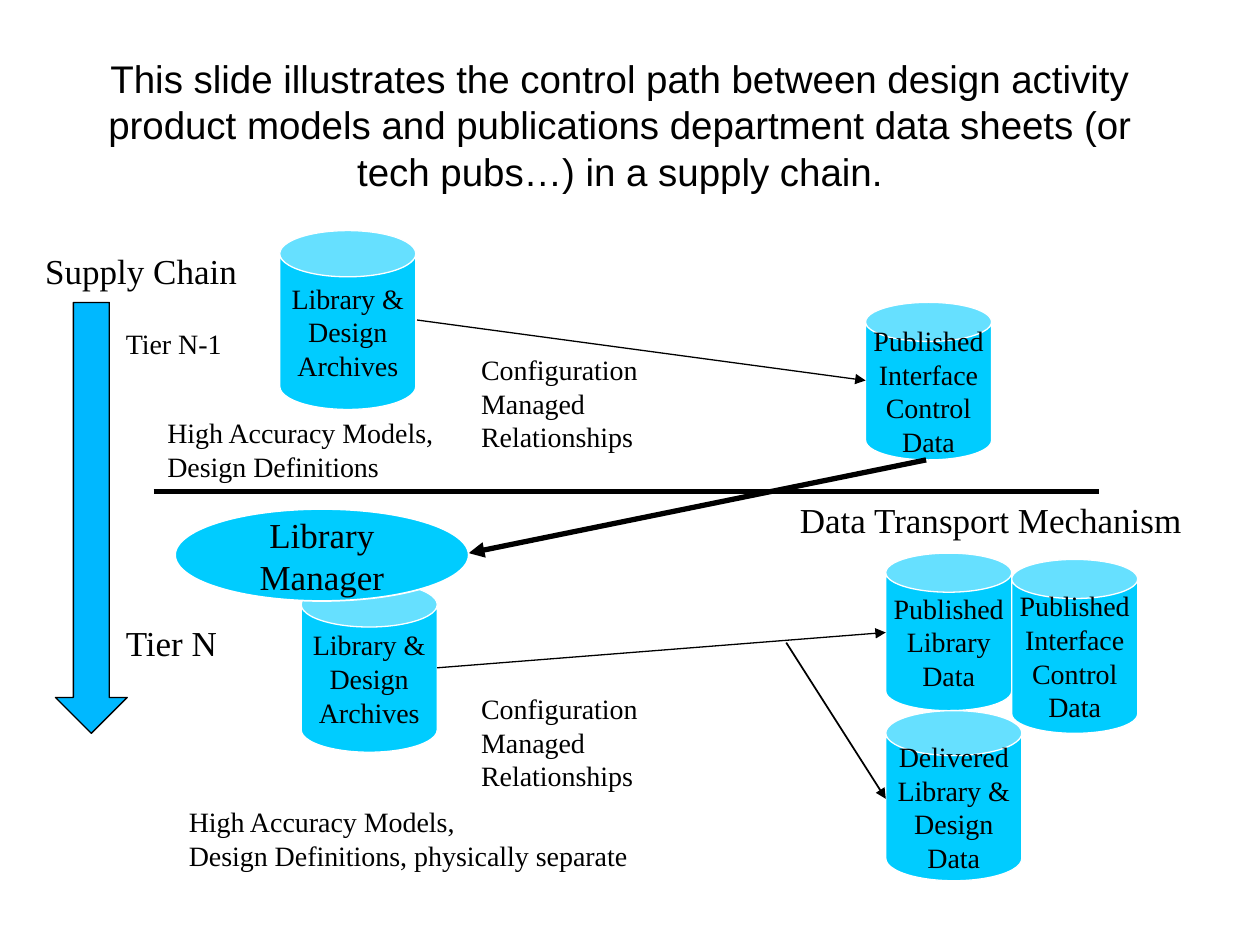
from lxml.etree import SubElement
from pptx import Presentation
from pptx.dml.color import RGBColor
from pptx.enum.shapes import MSO_CONNECTOR, MSO_SHAPE
from pptx.enum.text import MSO_ANCHOR, PP_ALIGN
from pptx.oxml.ns import qn
from pptx.util import Inches, Pt

BLACK = RGBColor(0x00, 0x00, 0x00)
WHITE = RGBColor(0xFF, 0xFF, 0xFF)
CYAN = RGBColor(0x00, 0xCC, 0xFF)
BLUE = RGBColor(0x00, 0xB8, 0xFF)

SERIF = "Times New Roman"
SMALL, LARGE = 16, 20
CELL = Inches(0.1)  # the slide is a grid of 100 columns by 75 rows

ARCHIVES = "Library &\nDesign\nArchives"
INTERFACE_DATA = "Published\nInterface\nControl\nData"
RELATIONSHIPS = "Configuration\nManaged\nRelationships"


def grid(*cells):
    """Turn columns and rows into slide lengths."""
    return [round(c * CELL) for c in cells]


def write(tf, text, size, align, font=SERIF):
    """Fill a text frame, one paragraph for each line of text."""
    for i, line in enumerate(text.split("\n")):
        p = tf.add_paragraph() if i else tf.paragraphs[0]
        p.text = line
        p.alignment = align
        p.font.name = font
        p.font.size = Pt(size)
        p.font.color.rgb = BLACK


def add_label(s, box, text, size=SMALL, align=PP_ALIGN.LEFT, font=SERIF):
    tf = s.shapes.add_textbox(*grid(*box)).text_frame
    tf.word_wrap = True
    write(tf, text, size, align, font)


def add_shape(s, kind, box, fill, line, width=0.75):
    sp = s.shapes.add_shape(kind, *grid(*box))
    sp.shadow.inherit = False
    sp.fill.solid()
    sp.fill.fore_color.rgb = fill
    sp.line.color.rgb = line
    sp.line.width = Pt(width)
    return sp


def write_inside(sp, text, size):
    tf = sp.text_frame
    tf.word_wrap = False
    tf.vertical_anchor = MSO_ANCHOR.MIDDLE
    write(tf, text, size, PP_ALIGN.CENTER)


def add_store(s, box, lid, text):
    """Add a data store: a can whose lid depth is a share of its width."""
    sp = add_shape(s, MSO_SHAPE.CAN, box, CYAN, WHITE)
    sp.adjustments[0] = lid
    write_inside(sp, text, SMALL)


def add_line(s, start, end, width=0.75, arrow=True):
    cn = s.shapes.add_connector(MSO_CONNECTOR.STRAIGHT, *grid(*start, *end))
    cn.line.color.rgb = BLACK
    cn.line.width = Pt(width)
    if arrow:
        SubElement(cn.line._get_or_add_ln(), qn("a:tailEnd"), type="triangle")
    SubElement(cn._element.spPr, qn("a:effectLst"))


def add_upper_tier(s):
    add_store(s, (22.2, 18.3, 10.8, 14.2), 0.34, ARCHIVES)
    add_store(s, (68.7, 24, 10, 12.5), 0.31, INTERFACE_DATA)
    add_line(s, (33.1, 25.4), (68.7, 30.2))
    add_label(s, (37.2, 27.5, 14.6, 9.1), RELATIONSHIPS)
    add_label(s, (12.3, 32.5, 23.4, 6.4),
              "High Accuracy Models,\nDesign Definitions")


def add_lower_tier(s):
    add_store(s, (23.9, 46.2, 10.8, 13.5), 0.33, ARCHIVES)
    add_store(s, (70.3, 43.9, 10, 12.5), 0.31, "Published\nLibrary\nData")
    add_store(s, (70.3, 56.4, 10.8, 13.5), 0.33,
              "Delivered\nLibrary &\nDesign\nData")
    add_store(s, (80.3, 44.4, 10, 13.8), 0.31, INTERFACE_DATA)
    add_line(s, (34.7, 53), (70.3, 50.2))
    add_line(s, (62.4, 51), (70.3, 63.4), 1)
    add_label(s, (37.2, 54.4, 14.6, 9.1), RELATIONSHIPS)
    add_label(s, (14, 63.4, 37.3, 6.4),
              "High Accuracy Models,\nDesign Definitions, physically separate")


def add_transport(s):
    """Add the tier boundary and the transfer that crosses it."""
    add_line(s, (12.2, 39), (87.2, 39), 3, arrow=False)
    add_line(s, (73.5, 36.5), (37.2, 43.9), 3)
    manager = add_shape(s, MSO_SHAPE.OVAL, (13.9, 40.4, 23.3, 7.3),
                        CYAN, WHITE, 1)
    write_inside(manager, "Library\nManager", LARGE)
    add_label(s, (62.5, 39.1, 32.4, 4.4), "Data Transport Mechanism", LARGE)


def add_supply_chain(s):
    add_shape(s, MSO_SHAPE.DOWN_ARROW, (4.4, 24, 5.7, 34.2), BLUE, BLACK)
    add_label(s, (2.6, 19.3, 18.9, 4.4), "Supply Chain", LARGE)
    add_label(s, (9, 25.4, 11.5, 3.7), "Tier N-1")
    add_label(s, (9, 48.8, 11.3, 4.4), "Tier N", LARGE)


def main():
    prs = Presentation()
    prs.slide_width, prs.slide_height = grid(100, 75)
    s = prs.slides.add_slide(prs.slide_layouts[6])
    add_label(s, (6.7, 3.9, 85, 8.3),
              "This slide illustrates the control path between design activity "
              "product models and publications department data sheets (or tech "
              "pubs…) in a supply chain.", 22, PP_ALIGN.CENTER, "Arial")
    add_upper_tier(s)
    add_lower_tier(s)
    add_transport(s)
    add_supply_chain(s)
    prs.save("out.pptx")


if __name__ == "__main__":
    main()
